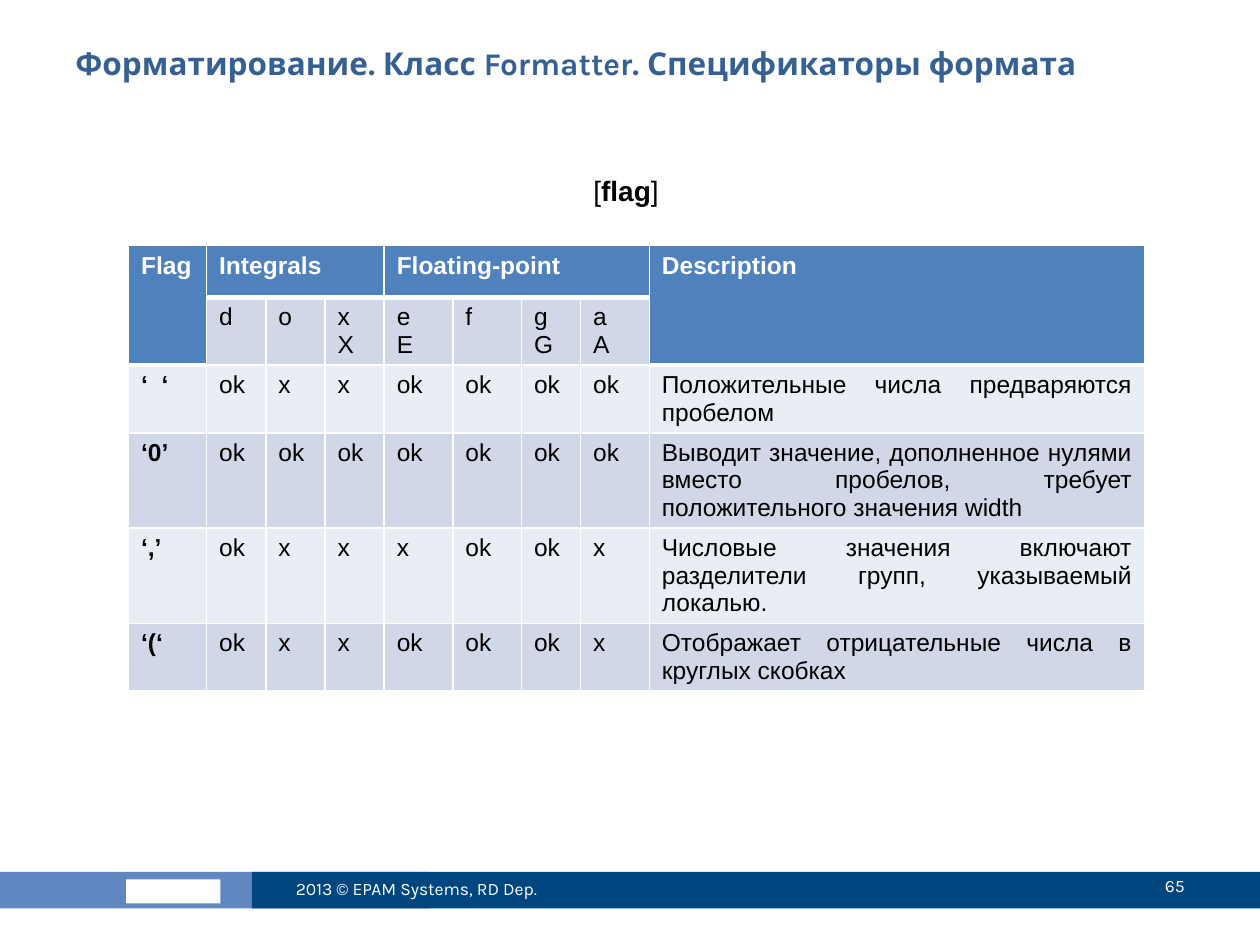
from dataclasses import dataclass
from typing import Optional

from lxml import etree
from pptx import Presentation
from pptx.dml.color import RGBColor
from pptx.enum.shapes import MSO_SHAPE
from pptx.enum.text import MSO_ANCHOR, PP_ALIGN
from pptx.oxml.ns import qn
from pptx.util import Inches, Pt

RECTANGLE = MSO_SHAPE.RECTANGLE
TOP, MIDDLE = MSO_ANCHOR.TOP, MSO_ANCHOR.MIDDLE
LEFT, CENTER, RIGHT, JUSTIFY = (
    PP_ALIGN.LEFT, PP_ALIGN.CENTER, PP_ALIGN.RIGHT, PP_ALIGN.JUSTIFY)

COLORS = {
    "title": "376092", "text": "000000", "white": "FFFFFF",
    "header": "4F81BD", "band_dark": "D0D8E8", "band_light": "E9EDF4",
    "footer_light": "6087BF", "footer_dark": "00467E",
}

# The slide is a grid of 100 columns by 75 rows
GRID_COLUMNS, GRID_ROWS = 100, 75
SLIDE_WIDTH, SLIDE_HEIGHT = Inches(10), Inches(7.5)


@dataclass(frozen=True)
class Box:
    left: float
    top: float
    width: float
    height: float

    def lengths(self) -> tuple:
        return (across(self.left), down(self.top),
                across(self.width), down(self.height))


@dataclass(frozen=True)
class Style:
    name: str
    size: float
    color: str
    bold: bool = False


@dataclass(frozen=True)
class Label:
    box: Box
    runs: tuple
    align: PP_ALIGN = LEFT
    anchor: MSO_ANCHOR = TOP
    hanging: Optional[float] = None


@dataclass(frozen=True)
class Bar:
    box: Box
    color: str


def across(columns: float) -> int:
    return round(SLIDE_WIDTH * columns / GRID_COLUMNS)


def down(rows: float) -> int:
    return round(SLIDE_HEIGHT * rows / GRID_ROWS)


def rgb(name: str) -> RGBColor:
    return RGBColor.from_string(COLORS[name])


TITLE = Style("Karla", 18, "title", True)
FOOTER = Style("Karla", 10, "white")
FLAG = Style("Arial", 16, "text")
FLAG_BOLD = Style("Arial", 16, "text", True)
HEADER = Style("Arial", 14, "white", True)
BODY = Style("Arial", 14, "text")
BODY_BOLD = Style("Arial", 14, "text", True)

# The last bar is a plain stand-in for the footer emblem
BARS = [
    Bar(Box(-0.2, 69.2, 34.3, 2.9), "footer_light"),
    Bar(Box(20, 69.2, 80, 2.9), "footer_dark"),
    Bar(Box(10, 69.8, 7.5, 1.9), "white"),
]

LABELS = [
    Label(Box(5, 3, 90, 7.8),
          (("Форматирование. Класс Formatter. Спецификаторы формата", TITLE),)),
    Label(Box(22.5, 68.5, 26.7, 4),
          (("2013 © EPAM Systems, RD Dep.", FOOTER),), anchor=MIDDLE),
    Label(Box(84.2, 68.3, 10.8, 4), (("65", FOOTER),), RIGHT, MIDDLE),
    Label(Box(10, 13.3, 80, 52.5),
          (("[", FLAG), ("flag", FLAG_BOLD), ("] ", FLAG)), CENTER,
          hanging=3.1),
]

TABLE_BOX = Box(10.2, 19.5, 80.7, 37.1)
COLUMN_WIDTHS = [6.2, 4.7, 4.7, 4.7, 5.45, 5.45, 4.7, 5.45, 39.3]
ROW_HEIGHT = 4.1
MERGES = [((0, 0), (1, 0)), ((0, 1), (0, 3)), ((0, 4), (0, 7)), ((0, 8), (1, 8))]
FLAG_ROWS = [
    ("‘  ‘", "ok x x ok ok ok ok", "Положительные числа предваряются пробелом"),
    ("‘0’", "ok ok ok ok ok ok ok",
     "Выводит значение, дополненное нулями вместо пробелов, "
     "требует положительного значения width"),
    ("‘,’", "ok x x x ok ok x",
     "Числовые значения включают разделители групп, указываемый локалью."),
    ("‘(‘", "ok x x ok ok ok x",
     "Отображает отрицательные числа в круглых скобках"),
]
TABLE_ROWS = [
    ["Flag", "Integrals", "", "", "Floating-point", "", "", "", "Description"],
    ["", "d", "o", "x\nX", "e\nE", "f", "g\nG", "a\nA", ""],
] + [[flag, *marks.split(), text] for flag, marks, text in FLAG_ROWS]
LAST_COLUMN = len(COLUMN_WIDTHS) - 1


def style_run(run, style: Style) -> None:
    values = {"name": style.name, "size": Pt(style.size), "bold": style.bold}
    for attribute, value in values.items():
        setattr(run.font, attribute, value)
    run.font.color.rgb = rgb(style.color)


def draw_bar(slide, bar: Bar) -> None:
    shape = slide.shapes.add_shape(RECTANGLE, *bar.box.lengths())
    shape.shadow.inherit = False
    shape.fill.solid()
    shape.fill.fore_color.rgb = rgb(bar.color)
    shape.line.fill.background()


def draw_label(slide, label: Label) -> None:
    frame = slide.shapes.add_textbox(*label.box.lengths()).text_frame
    frame.word_wrap = True
    frame.vertical_anchor = label.anchor
    paragraph = frame.paragraphs[0]
    paragraph.alignment = label.align
    if label.hanging is not None:
        properties = paragraph._p.get_or_add_pPr()
        properties.set("marL", str(across(label.hanging)))
        properties.set("indent", str(-across(label.hanging)))
    for text, style in label.runs:
        run = paragraph.add_run()
        run.text = text
        style_run(run, style)


def is_header(row: int, column: int) -> bool:
    return row == 0 or (row == 1 and column in (0, LAST_COLUMN))


def set_borders(cell, top: float, bottom: float) -> None:
    properties = cell._tc.get_or_add_tcPr()
    widths = {"a:lnL": 1, "a:lnR": 1, "a:lnT": top, "a:lnB": bottom}
    for tag, width in widths.items():
        line = etree.SubElement(properties, qn(tag), w=str(Pt(width)))
        fill = etree.SubElement(line, qn("a:solidFill"))
        etree.SubElement(fill, qn("a:srgbClr"), val=COLORS["white"])


def fill_cell(cell, row: int, column: int, text: str) -> None:
    header = is_header(row, column)
    under_header = row > 0 and not header and is_header(row - 1, column)
    set_borders(cell, 3 if under_header else 1, 3 if header else 1)
    band = "band_dark" if row % 2 else "band_light"
    cell.fill.solid()
    cell.fill.fore_color.rgb = rgb("header" if header else band)
    style = HEADER if header else BODY_BOLD if column == 0 else BODY
    cell.text = text
    for paragraph in cell.text_frame.paragraphs:
        if column == LAST_COLUMN and not header:
            paragraph.alignment = JUSTIFY
        for run in paragraph.runs:
            style_run(run, style)


def draw_table(slide) -> None:
    frame = slide.shapes.add_table(
        len(TABLE_ROWS), len(COLUMN_WIDTHS), *TABLE_BOX.lengths())
    table = frame.table
    for column, width in zip(table.columns, COLUMN_WIDTHS):
        column.width = across(width)
    for row in table.rows:
        row.height = down(ROW_HEIGHT)
    frame.height = down(TABLE_BOX.height)
    for start, end in MERGES:
        table.cell(*start).merge(table.cell(*end))
    for row, texts in enumerate(TABLE_ROWS):
        for column, text in enumerate(texts):
            fill_cell(table.cell(row, column), row, column, text)


def main() -> None:
    presentation = Presentation()
    presentation.slide_width, presentation.slide_height = SLIDE_WIDTH, SLIDE_HEIGHT
    slide = presentation.slides.add_slide(presentation.slide_layouts[6])
    # Footer bars
    for bar in BARS:
        draw_bar(slide, bar)
    # Flag table
    draw_table(slide)
    # Title, footer texts and caption
    for label in LABELS:
        draw_label(slide, label)
    presentation.save("out.pptx")


if __name__ == "__main__":
    main()
